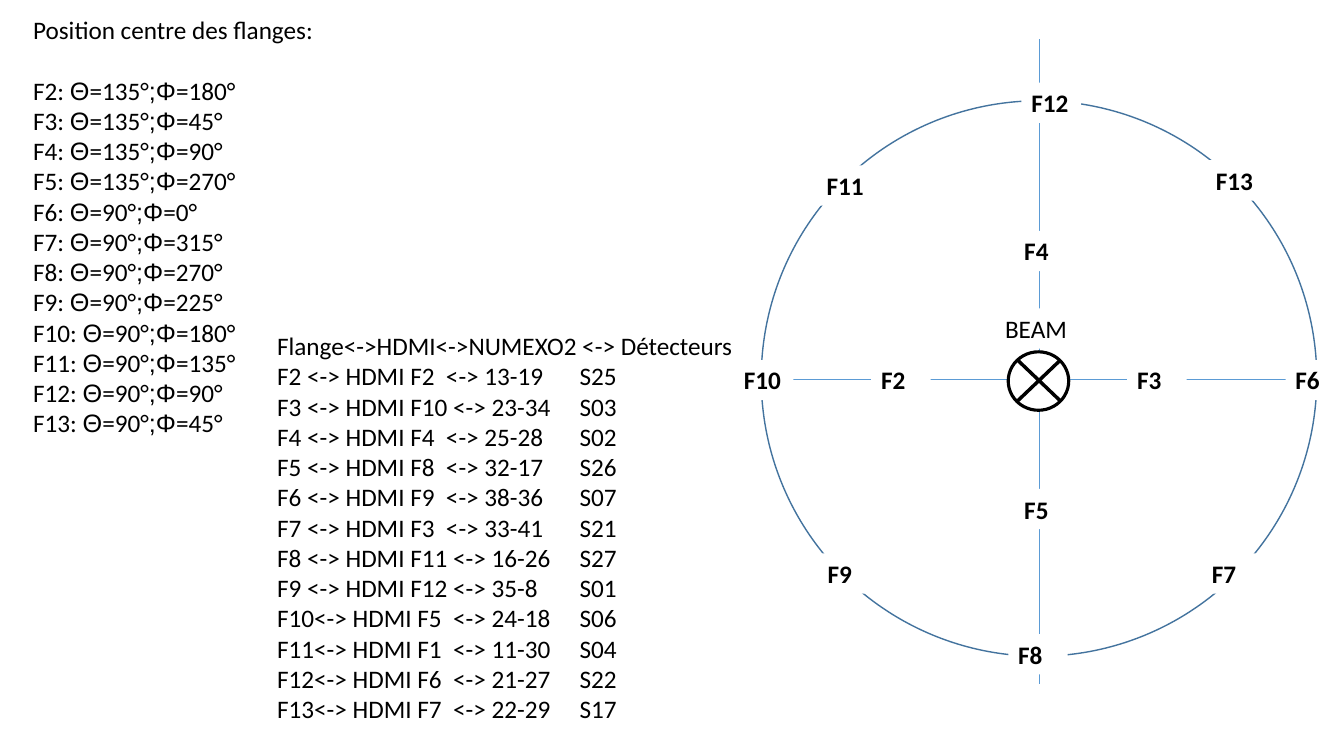
from lxml import etree
from pptx import Presentation
from pptx import util as u
from pptx.dml.color import RGBColor
from pptx.enum import shapes, text
from pptx.oxml.ns import qn

PX = 9144
COLORS = {"ink": "000000", "paper": "FFFFFF", "axis": "5B9BD5", "ring": "43739E"}


def add_text(container, box, paragraphs, fill=None, bold=False, align=text.PP_ALIGN.LEFT):
    shape = container.add_textbox(*(value * PX for value in box))
    if fill:
        shape.fill.solid()
        shape.fill.fore_color.rgb = RGBColor.from_string(COLORS[fill])
    frame = shape.text_frame
    frame.word_wrap = True
    for index, runs in enumerate(paragraphs):
        paragraph = frame.paragraphs[0] if index == 0 else frame.add_paragraph()
        paragraph.alignment = align
        for words, font_name in runs:
            run = paragraph.add_run()
            run.text = words
            run.font.color.rgb = RGBColor.from_string(COLORS["ink"])
            formats = {"name": font_name, "size": u.Pt(18), "bold": bold}
            for attribute, value in formats.items():
                setattr(run.font, attribute, value)
    return shape


def add_line(container, ends, color, width):
    line = container.add_connector(
        shapes.MSO_CONNECTOR.STRAIGHT, *(value * PX for value in ends))
    line.line.color.rgb = RGBColor.from_string(COLORS[color])
    line.line.width = u.Pt(width)
    etree.SubElement(line._element.spPr, qn("a:effectLst"))


presentation = Presentation()
presentation.slide_width = 1333 * PX
presentation.slide_height = 750 * PX
slide = presentation.slides.add_slide(presentation.slide_layouts[6])

angles = [
    (135, 180), (135, 45), (135, 90), (135, 270), (90, 0), (90, 315),
    (90, 270), (90, 225), (90, 180), (90, 135), (90, 90), (90, 45),
]
positions = [[("Position centre des flanges:", "Calibri")]]
for number, (theta, phi) in enumerate(angles, 2):
    positions.append([
        (f"F{number}: ", "Calibri"), ("Θ", "Arial"), (f"={theta}°", "Calibri"),
        (";Φ", "Arial"), (f"={phi}°", "Calibri"),
    ])
position_box = add_text(slide.shapes, (23, 9, 451, 434), positions)
title = position_box.text_frame.paragraphs[0]
title.space_after = u.Pt(22)

cabling = [
    "Flange<->HDMI<->NUMEXO2 <-> Détecteurs",
    "F2 <-> HDMI F2  <-> 13-19\tS25",
    "F3 <-> HDMI F10 <-> 23-34\tS03",
    "F4 <-> HDMI F4  <-> 25-28\tS02",
    "F5 <-> HDMI F8  <-> 32-17\tS26",
    "F6 <-> HDMI F9  <-> 38-36\tS07",
    "F7 <-> HDMI F3  <-> 33-41\tS21",
    "F8 <-> HDMI F11 <-> 16-26\tS27",
    "F9 <-> HDMI F12 <-> 35-8\tS01",
    "F10<-> HDMI F5  <-> 24-18\tS06",
    "F11<-> HDMI F1  <-> 11-30\tS04",
    "F12<-> HDMI F6  <-> 21-27\tS22",
    "F13<-> HDMI F7  <-> 22-29\tS17",
]
add_text(slide.shapes, (265, 323, 473, 404), [[(row, "Calibri")] for row in cabling])

diagram = slide.shapes.add_group_shape().shapes
for axis in [(1031, 39, 1031, 679), (1305, 376, 753, 376)]:
    add_line(diagram, axis, "axis", 0.5)

ring = diagram.add_shape(
    shapes.MSO_SHAPE.OVAL, 755 * PX, 100 * PX, 551 * PX, 551 * PX)
ring.shadow.inherit = False
ring.fill.background()
ring.line.color.rgb = RGBColor.from_string(COLORS["ring"])
ring.line.width = u.Pt(1)

flanges = {
    "F12": (1013, 82), "F4": (1006, 229), "F3": (1118, 357), "F5": (1006, 485),
    "F13": (1196, 159), "F6": (1275, 357), "F7": (1192, 549), "F8": (1000, 629),
    "F11": (810, 164), "F10": (728, 357), "F2": (864, 357), "F9": (811, 549),
}
for name, (left, top) in flanges.items():
    add_text(diagram, (left, top, 59, 40), [[(name, "Calibri")]], "paper", True)

beam = slide.shapes.add_shape(
    shapes.MSO_SHAPE.OVAL, 1000 * PX, 349 * PX, 60 * PX, 58 * PX)
beam.shadow.inherit = False
beam.fill.solid()
beam.fill.fore_color.rgb = RGBColor.from_string(COLORS["paper"])
beam.line.color.rgb = RGBColor.from_string(COLORS["ink"])
beam.line.width = u.Pt(2.25)
for start, end in [(398, 357), (357, 398)]:
    add_line(slide.shapes, (1009, start, 1052, end), "ink", 2.5)
add_text(slide.shapes, (969, 306, 117, 40), [[("BEAM", "Calibri")]], "paper",
         align=text.PP_ALIGN.CENTER)

presentation.save("out.pptx")
